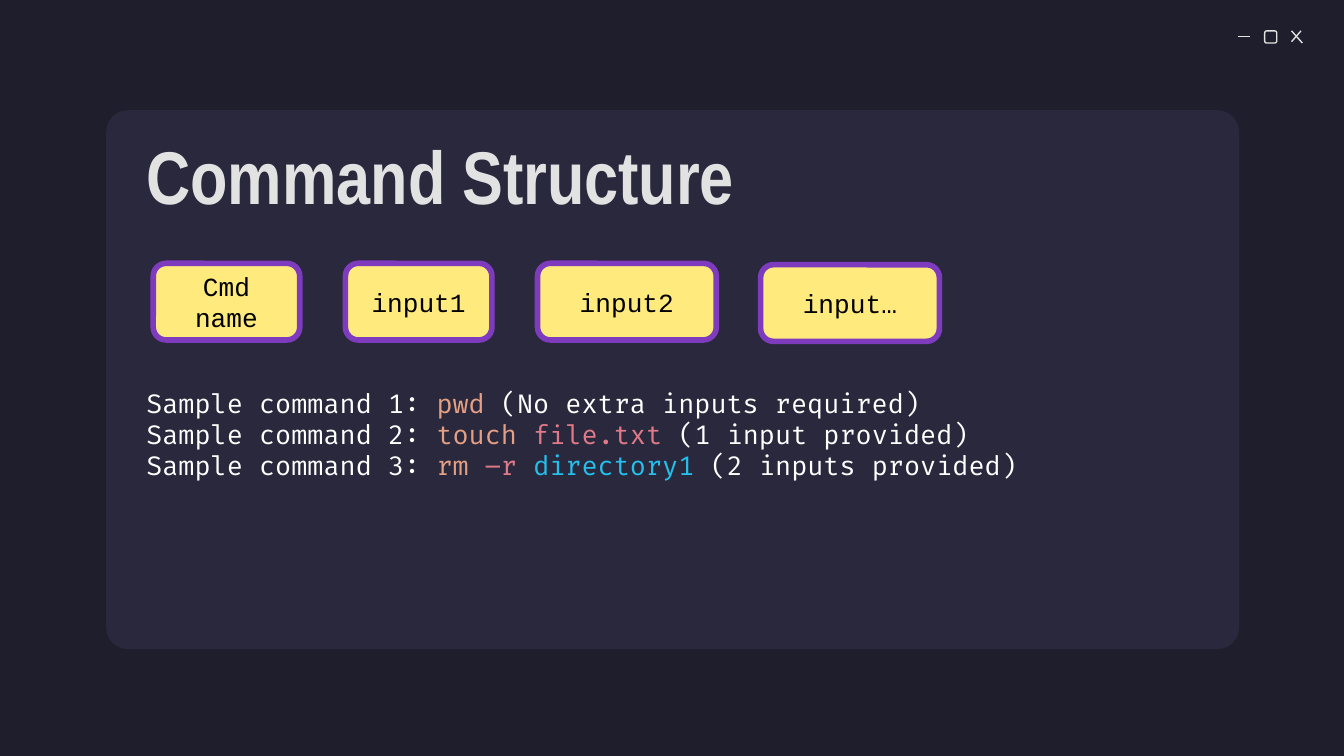
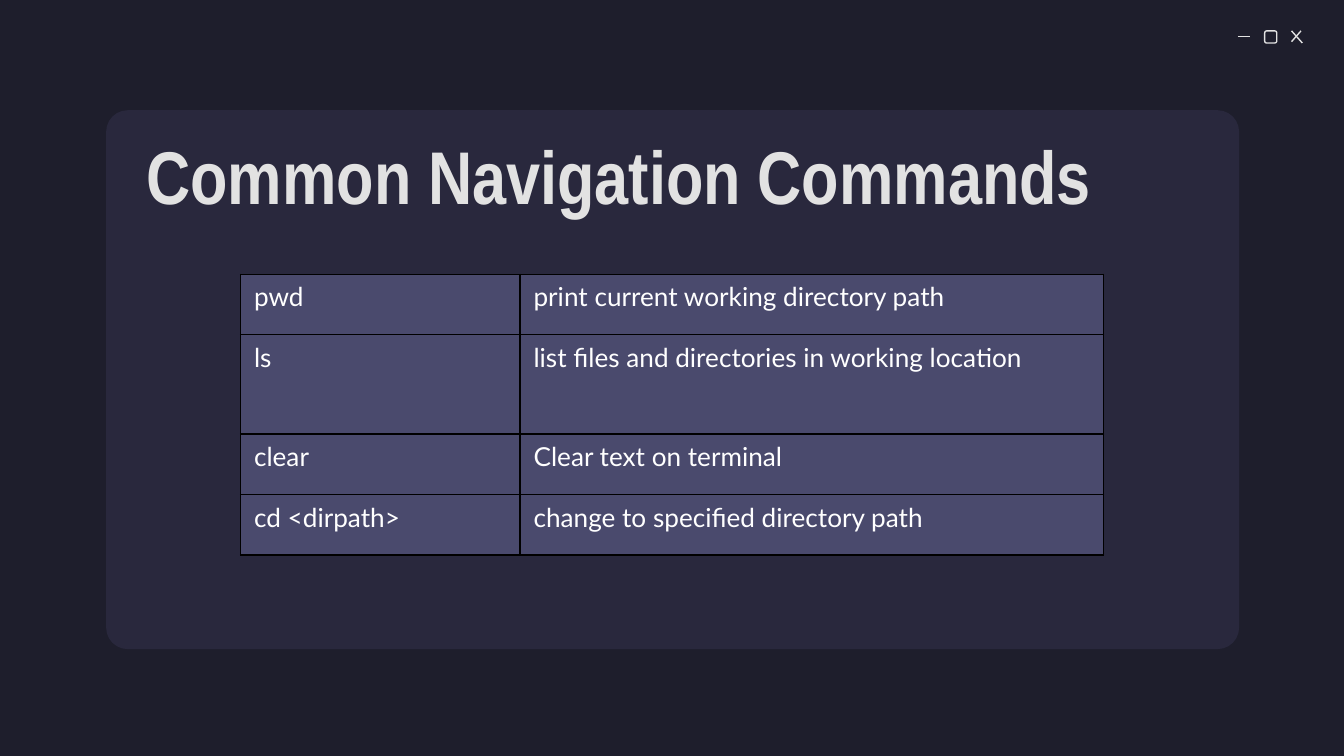
from lxml import etree
from pptx import Presentation
from pptx.dml.color import RGBColor
from pptx.enum.shapes import MSO_CONNECTOR, MSO_SHAPE
from pptx.enum.text import MSO_ANCHOR as ANCHOR, MSO_AUTO_SIZE as AUTO_SIZE, PP_ALIGN as ALIGN
from pptx.oxml import parse_xml
from pptx.oxml.ns import nsdecls, qn
from pptx.util import Inches, Pt

COLORS = {
    "background": "1E1E2C", "panel": "29283D", "light": "E2E2E2",
    "box": "FFEA7D", "box_line": "7E3BBE", "cell": "4A4A6D",
    "black": "000000", "white": "FFFFFF",
    "command": "E5A083", "argument": "E07A88", "directory": "24BFEB",
}
TITLE_ONLY = 5

# Each box: label, left, top, width
COMMAND_PARTS = [("Cmd name", 1.14, 1.96, 1.09), ("input1", 2.57, 1.96, 1.09),
                 ("input2", 4, 1.96, 1.33), ("input…", 5.66, 1.97, 1.33)]
SAMPLES = [
    [("Sample command 1: ", "white"), ("pwd", "command"),
     (" (No extra inputs required)", "white")],
    [("Sample command 2: ", "white"), ("touch ", "command"),
     ("file.txt", "argument"), (" (1 input provided)", "white")],
    [("Sample command 3: ", "white"), ("rm ", "command"), ("–r ", "argument"),
     ("directory1 ", "directory"), ("(2 inputs provided)", "white")],
]
NAVIGATION = [
    ("pwd", "print current working directory path"),
    ("ls", "list files and directories in working location"),
    ("clear", "Clear text on terminal"),
    ("cd <dirpath>", "change to specified directory path"),
]


def rgb(name):
    return RGBColor.from_string(COLORS[name])


def inches(*values):
    return [Inches(v) for v in values]


def write(tf, lines, font, size=14, bold=False, align=ALIGN.LEFT,
          anchor=ANCHOR.TOP, margin=None):
    """Fill a text frame; each line is a list of (text, colour name) runs."""
    tf.word_wrap = True
    tf.vertical_anchor = anchor
    if margin is not None:
        tf.margin_left = tf.margin_right = Inches(margin)
        tf.margin_top = tf.margin_bottom = Inches(margin)
    for i, runs in enumerate(lines):
        p = tf.paragraphs[0] if i == 0 else tf.add_paragraph()
        p.alignment = align
        for text, color in runs:
            r = p.add_run()
            r.text = text
            r.font.name, r.font.size, r.font.bold = font, Pt(size), bold
            r.font.color.rgb = rgb(color)


def add_round_rect(s, box, fill=None, line=None, width=0.75, adj=0.167):
    sp = s.shapes.add_shape(MSO_SHAPE.ROUNDED_RECTANGLE, *inches(*box))
    sp.shadow.inherit = False
    sp.adjustments[0] = adj
    if fill:
        sp.fill.solid()
        sp.fill.fore_color.rgb = rgb(fill)
    else:
        sp.fill.background()
    if line:
        sp.line.color.rgb = rgb(line)
        sp.line.width = Pt(width)
    else:
        sp.line.fill.background()
    return sp


def add_line(s, *ends):
    line = s.shapes.add_connector(MSO_CONNECTOR.STRAIGHT, *inches(*ends))
    line.line.color.rgb = rgb("light")
    line.line.width = Pt(0.75)
    etree.SubElement(line._element.spPr, qn("a:effectLst"))


def add_window_buttons(s):
    add_line(s, 9.21, 0.27, 9.3, 0.27)
    add_round_rect(s, (9.41, 0.23, 0.09, 0.09), line="light")
    add_line(s, 9.61, 0.23, 9.69, 0.32)
    add_line(s, 9.68, 0.23, 9.61, 0.31)


def add_window_slide(prs, title):
    s = prs.slides.add_slide(prs.slide_layouts[TITLE_ONLY])
    add_round_rect(s, (0.79, 0.82, 8.43, 4.01), fill="panel", adj=0.04)
    add_window_buttons(s)
    sp = s.shapes.title
    s.shapes._spTree.append(sp._element)  # bring the title in front of the panel
    sp.left, sp.top, sp.width, sp.height = inches(0.99, 0.91, 8.42, 0.78)
    write(sp.text_frame, [[(title, "light")]], "Arial Narrow", size=40,
          bold=True, anchor=ANCHOR.MIDDLE, margin=0.1)
    return s


def add_command_boxes(s):
    for label, left, top, width in COMMAND_PARTS:
        sp = add_round_rect(s, (left, top, width, 0.57), fill="box",
                            line="box_line", width=3)
        write(sp.text_frame, [[(label, "black")]], "Courier New",
              align=ALIGN.CENTER, anchor=ANCHOR.MIDDLE, margin=0.1)


def add_samples(s):
    tf = s.shapes.add_textbox(*inches(0.99, 2.83, 6.86, 0.81)).text_frame
    write(tf, SAMPLES, "Fira Code")
    tf.auto_size = AUTO_SIZE.SHAPE_TO_FIT_TEXT


def set_borders(cell, color="black", width=0.82):
    tc_pr = cell._tc.get_or_add_tcPr()
    for i, side in enumerate("LRTB"):
        tc_pr.insert(i, parse_xml(
            f'<a:ln{side} {nsdecls("a")} w="{int(Pt(width))}"><a:solidFill>'
            f'<a:srgbClr val="{COLORS[color]}"/></a:solidFill></a:ln{side}>'))


def add_command_table(s):
    widths, heights = (2.08, 4.34), (0.45, 0.74, 0.45, 0.45)
    table = s.shapes.add_table(len(heights), len(widths), *inches(
        1.79, 2.04, sum(widths), sum(heights))).table
    table.first_row = table.horz_banding = False
    for column, width in zip(table.columns, widths):
        column.width = Inches(width)
    for row, height, texts in zip(table.rows, heights, NAVIGATION):
        row.height = Inches(height)
        for cell, text in zip(row.cells, texts):
            cell.fill.solid()
            cell.fill.fore_color.rgb = rgb("cell")
            set_borders(cell)
            write(cell.text_frame, [[(text, "white")]], "Lato")


def main():
    prs = Presentation()
    prs.slide_width = Inches(10)
    prs.slide_height = prs.slide_width * 9 // 16
    fill = prs.slide_master.background.fill
    fill.solid()
    fill.fore_color.rgb = rgb("background")

    s = add_window_slide(prs, "Command Structure")
    add_command_boxes(s)
    add_samples(s)

    s = add_window_slide(prs, "Common Navigation Commands")
    add_command_table(s)

    prs.save("out.pptx")


if __name__ == "__main__":
    main()
